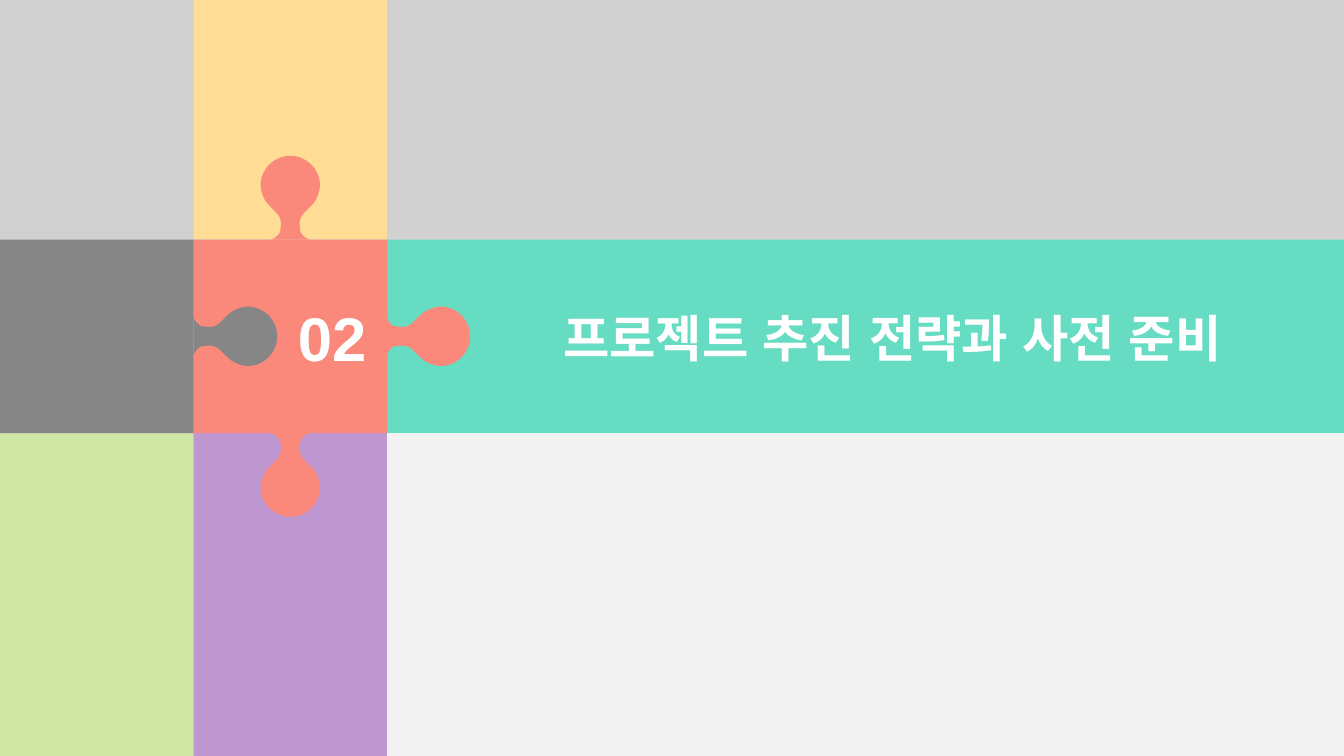
from lxml import etree
from pptx import Presentation
from pptx.dml.color import RGBColor
from pptx.enum.shapes import MSO_SHAPE
from pptx.enum.text import MSO_ANCHOR, MSO_AUTO_SIZE, PP_ALIGN
from pptx.oxml.ns import qn
from pptx.util import Pt

RECTANGLE = MSO_SHAPE.RECTANGLE
MIDDLE, CENTER, NO_FIT = MSO_ANCHOR.MIDDLE, PP_ALIGN.CENTER, MSO_AUTO_SIZE.NONE

# Content
TITLE = "프로젝트 추진 전략과 사전 준비"
NUMBER = "02"
CORAL, GRAY, WHITE = "FA897B", "868686", "FFFFFF"

# Grid: two square columns and a wide one, with a square middle row
WIDTH, HEIGHT = 960, 540
CELL, TOP = 138.25, 171.1
COLUMNS = (0, CELL, 2 * CELL, WIDTH)
ROWS = (0, TOP, TOP + CELL, HEIGHT)
MIDDLE_X, MIDDLE_Y = 1.5 * CELL, TOP + CELL / 2

# (column, row, colour)
TILES = (
    (0, 2, "D0E6A5"), (1, 0, "FFDD95"), (1, 2, "BF97D1"), (2, 1, "66DCC3"),
    (2, 2, "F2F2F2"), (1, 1, CORAL), (0, 1, GRAY),
)

# Puzzle knob: control points of half its outline, as (distance from base, half
# width). After the first point, every three make one cubic curve.
KNOB_LENGTH = 59.8
KNOB_HALF = (
    (0, 13.7),
    (0, 13.7), (2.2, 7), (7.2, 7),
    (12.2, 6.6), (14.4, 6), (18.7, 9.5),
    (23.4, 14.2), (25.7, 16.5), (27.5, 17.7),
    (29.5, 18.9), (34.2, 21.2), (38.7, 21.2),
    (50.4, 21.2), (KNOB_LENGTH, 11.6), (KNOB_LENGTH, 0),
)
KNOB_OUTLINE = KNOB_HALF + tuple(
    (along, -across) for along, across in reversed(KNOB_HALF[:-1]))

# (centre x, centre y, rotation, colour)
REACH = KNOB_LENGTH / 2
KNOBS = (
    (2 * CELL + REACH - 0.5, MIDDLE_Y, 0, CORAL),
    (MIDDLE_X, TOP + CELL + REACH, 90, CORAL),
    (MIDDLE_X, TOP - REACH, 270, CORAL),
    (CELL + REACH, MIDDLE_Y, 0, GRAY),
)


def rgb(color):
    return RGBColor.from_string(color)


def paint(shape, color):
    shape.shadow.inherit = False
    shape.fill.solid()
    shape.fill.fore_color.rgb = rgb(color)
    shape.line.fill.background()


def add_tile(page, left, top, right, bottom, color):
    tile = page.shapes.add_shape(
        RECTANGLE, Pt(left), Pt(top), Pt(right - left), Pt(bottom - top))
    paint(tile, color)


def curve_segments(shape):
    """Turn every three line segments of the outline into one cubic curve."""
    lines = list(shape.element.iter(qn("a:lnTo")))
    for index in range(0, len(lines), 3):
        curve = etree.Element(qn("a:cubicBezTo"))
        lines[index].addprevious(curve)
        for line in lines[index:index + 3]:
            curve.append(line[0])
            line.getparent().remove(line)


def add_knob(page, center_x, center_y, rotation, color):
    points = [(Pt(center_x - REACH + along), Pt(center_y + across))
              for along, across in KNOB_OUTLINE]
    builder = page.shapes.build_freeform(*points[0])
    builder.add_line_segments(points[1:], close=True)
    knob = builder.convert_to_shape()
    curve_segments(knob)
    knob.rotation = rotation
    paint(knob, color)


def write(box, text, size, color=WHITE, font="Arial", bold=True):
    frame = box.text_frame
    frame.word_wrap = True
    frame.auto_size = NO_FIT
    frame.vertical_anchor = MIDDLE
    frame.margin_left = frame.margin_right = frame.margin_top = frame.margin_bottom = 0
    para = frame.paragraphs[0]
    para.alignment = CENTER
    span = para.add_run()
    span.text = text
    span.font.size = Pt(size)
    span.font.name = font
    span.font.bold = bold
    span.font.color.rgb = rgb(color)
    # The same font for East Asian text
    for properties in box.element.iter(qn("a:rPr")):
        etree.SubElement(properties, qn("a:ea"), typeface=font)


deck = Presentation()
deck.slide_width, deck.slide_height = Pt(WIDTH), Pt(HEIGHT)
page = deck.slides.add_slide(deck.slide_layouts[5])

# Backdrop, tiles and knobs
add_tile(page, 0, 0, WIDTH, HEIGHT, "D1D1D1")
for column, row, color in TILES:
    add_tile(page, COLUMNS[column], ROWS[row], COLUMNS[column + 1], ROWS[row + 1], color)
for knob in KNOBS:
    add_knob(page, *knob)

# Title, brought in front of the tiles
title = page.shapes.title
title.left, title.top, title.width, title.height = Pt(366.5), Pt(219), Pt(542), Pt(44)
title.element.getparent().append(title.element)
write(title, TITLE, 36)

# Section number
number = page.shapes.add_textbox(Pt(198), Pt(214.2), Pt(78.5), Pt(53))
write(number, NUMBER, 44)

deck.save("out.pptx")
